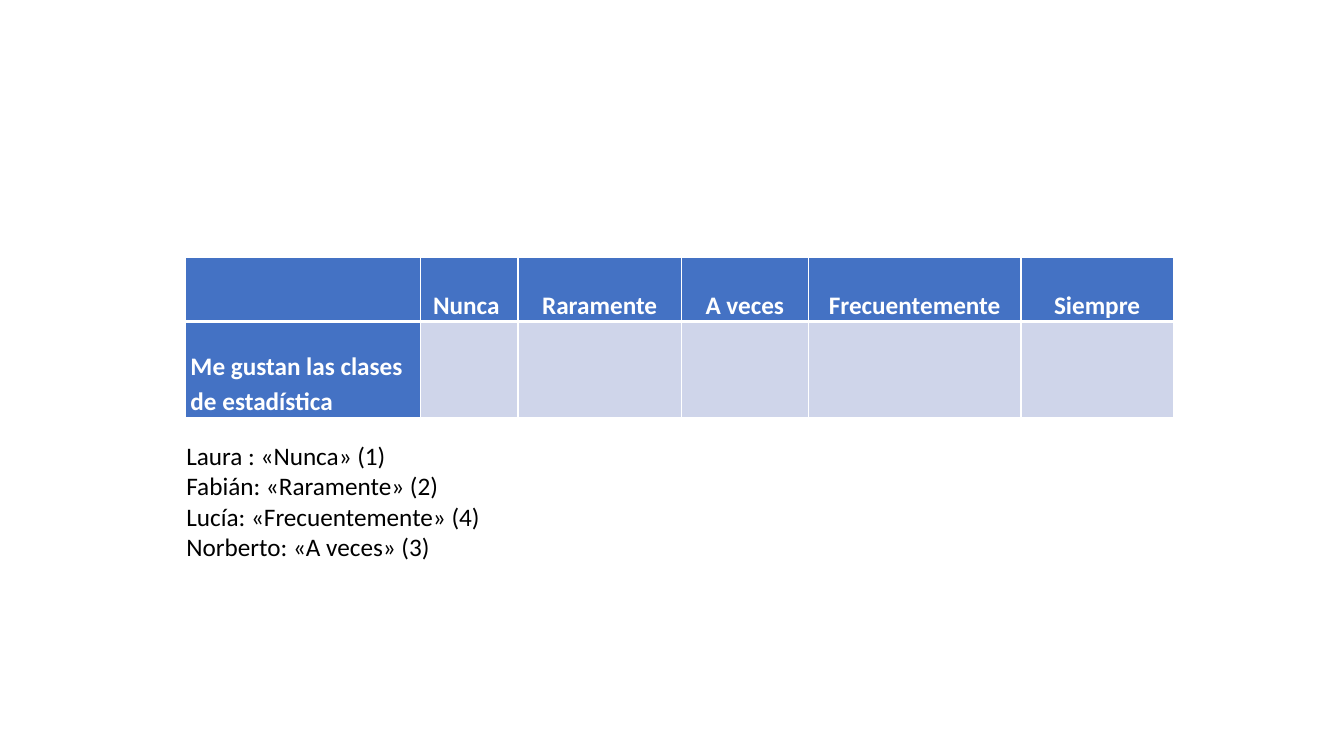
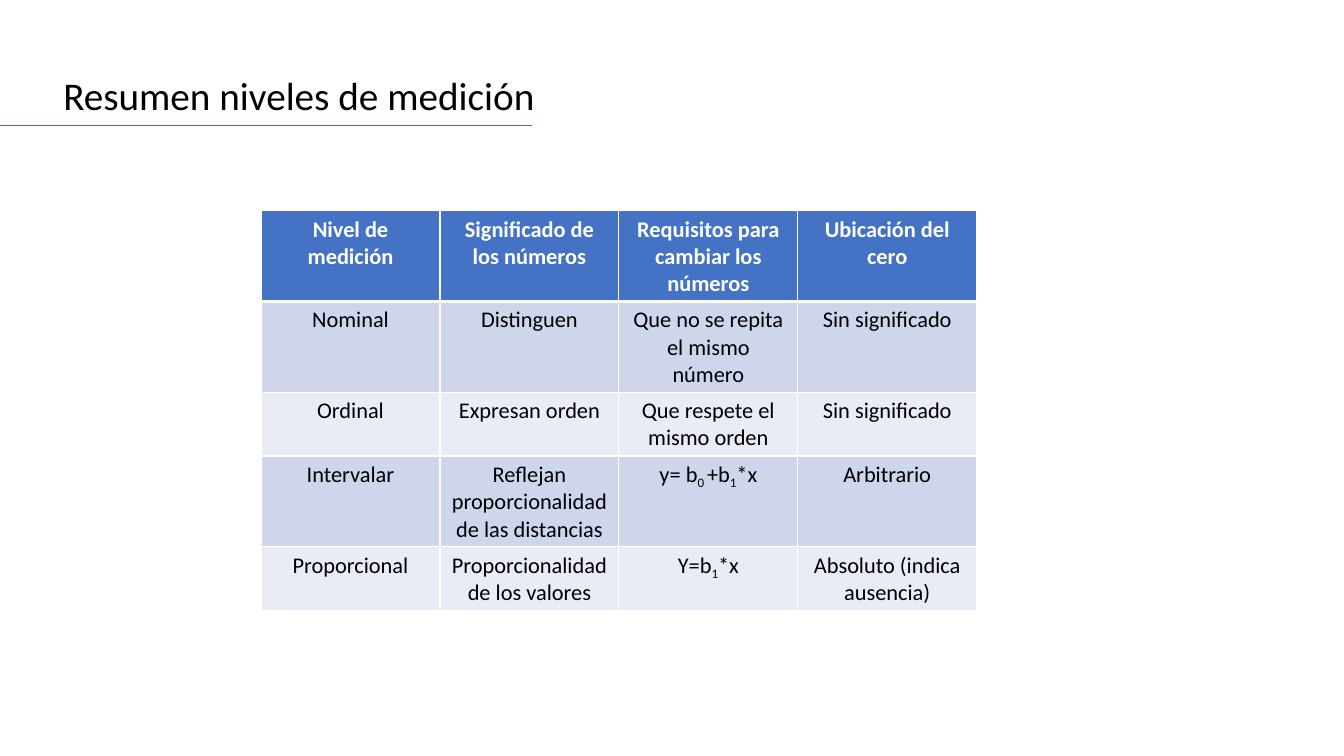
from dataclasses import dataclass

from pptx import Presentation
from pptx import util as u
from pptx.dml.color import RGBColor
from pptx.enum import shapes, text
from pptx.oxml import ns
from lxml import etree

GRID_COLUMNS, GRID_ROWS = 160, 90
SLIDE_WIDTH, SLIDE_HEIGHT = u.Inches(13.33), u.Inches(7.5)
FONT = "Calibri"
BLUE, WHITE, BLACK = "4472C4", "FFFFFF", "000000"
BANDS = ("CFD5EA", "E9EBF5")
CENTER, LEFT, JUSTIFY = text.PP_ALIGN.CENTER, text.PP_ALIGN.LEFT, text.PP_ALIGN.JUSTIFY


@dataclass(frozen=True)
class Area:
    column: float
    row: float
    columns: float
    rows: float


@dataclass(frozen=True)
class Style:
    size: float
    color: str = BLACK
    bold: bool = False
    align: text.PP_ALIGN = LEFT
    spacing: float = 1.0
    before: float = 0


@dataclass(frozen=True)
class Grid:
    column: float
    row: float
    widths: tuple
    heights: tuple
    cells: tuple
    size: float
    spacing: float = 1.0
    header_column: bool = False
    tight: bool = False


SCALE = Grid(
    22.08, 30.6, (27.96, 11.64, 19.44, 15.12, 25.32, 18.12), (7.68, 11.4),
    (
        ("", "Nunca ", "Raramente", "A veces", "Frecuentemente", "Siempre"),
        ("Me gustan las clases de estadística", "", "", "", "", ""),
    ),
    size=18, spacing=1.15, header_column=True, tight=True,
)
LEVELS = Grid(
    31.08, 25.08, (21.3,) * 4, (4.92,) * 5,
    (
        ("Nivel de medición", "Significado de los números",
         "Requisitos para cambiar los números", "Ubicación del cero"),
        ("Nominal", "Distinguen", "Que no se repita el mismo número", "Sin significado"),
        ("Ordinal", "Expresan orden", "Que respete el mismo orden", "Sin significado"),
        ("Intervalar", "Reflejan proporcionalidad de las distancias",
         "y= b_0 _+b_1_*x", "Arbitrario"),
        ("Proporcional", "Proporcionalidad de los valores", "Y=b_1_*x",
         "Absoluto (indica ausencia)"),
    ),
    size=16,
)
ANSWERS = (
    "Laura : «Nunca» (1)",
    "Fabián: «Raramente» (2)",
    "Lucía: «Frecuentemente» (4)",
    "Norberto: «A veces» (3)",
)


def across(columns: float) -> int:
    return round(SLIDE_WIDTH * columns / GRID_COLUMNS)


def down(rows: float) -> int:
    return round(SLIDE_HEIGHT * rows / GRID_ROWS)


def rgb(color: str) -> RGBColor:
    return RGBColor.from_string(color)


def paint(target, color: str) -> None:
    target.fill.solid()
    target.fill.fore_color.rgb = rgb(color)


def format_para(para, style: Style) -> None:
    para.alignment = style.align
    para.line_spacing = style.spacing
    para.space_before = u.Pt(style.before)
    for font in [para.font] + [span.font for span in para.runs]:
        font.name = FONT
        font.size = u.Pt(style.size)
        font.bold = style.bold
        font.color.rgb = rgb(style.color)


def write_formula(para, formula: str) -> None:
    """Parts between underscores become subscripts."""
    for index, part in enumerate(formula.split("_")):
        span = para.add_run()
        span.text = part
        if index % 2:
            span.font._element.set("baseline", "-25000")


def add_text(page, area: Area, content: str, style: Style) -> None:
    box = page.shapes.add_textbox(
        across(area.column), down(area.row), across(area.columns), down(area.rows))
    box.text_frame.word_wrap = True
    box.text_frame.text = content
    for para in box.text_frame.paragraphs:
        format_para(para, style)


def add_title(page, title: str) -> None:
    add_text(page, Area(6.36, 8.52, 114, 9.12), title,
             Style(28, align=JUSTIFY, spacing=0.9, before=12))
    rule = page.shapes.add_connector(
        shapes.MSO_CONNECTOR.STRAIGHT, 0, down(14.88), across(63.36), down(14.88))
    rule.line.color.rgb = rgb(BLUE)
    rule.line.width = u.Pt(0.5)
    etree.SubElement(rule._element.spPr, ns.qn("a:effectLst"))


def add_borders(cell, top: float, bottom: float) -> None:
    properties = cell._tc.get_or_add_tcPr()
    for side, width in (("L", 1), ("R", 1), ("T", top), ("B", bottom)):
        border = etree.SubElement(properties, ns.qn(f"a:ln{side}"), w=str(u.Pt(width)))
        fill = etree.SubElement(border, ns.qn("a:solidFill"))
        etree.SubElement(fill, ns.qn("a:srgbClr"), val=WHITE)


def fill_cell(cell, content: str, grid: Grid, row: int, column: int) -> None:
    label = grid.header_column and column == 0
    header = row == 0 or label
    para = cell.text_frame.paragraphs[0]
    if "_" in content:
        write_formula(para, content)
    else:
        para.text = content
    format_para(para, Style(
        grid.size, WHITE if header else BLACK, header,
        LEFT if label else CENTER, grid.spacing))
    if grid.tight:
        cell.vertical_anchor = text.MSO_ANCHOR.BOTTOM
        cell.margin_left = cell.margin_right = u.Inches(0.05)
        cell.margin_top = cell.margin_bottom = 0
    add_borders(cell, top=3 if row == 1 else 1, bottom=3 if row == 0 else 1)
    paint(cell, BLUE if header else BANDS[(row - 1) % 2])


def add_grid(page, grid: Grid) -> None:
    table = page.shapes.add_table(
        len(grid.heights), len(grid.widths), across(grid.column), down(grid.row),
        across(sum(grid.widths)), down(sum(grid.heights))).table
    table.first_col = grid.header_column
    for column, width in zip(table.columns, grid.widths):
        column.width = across(width)
    for line, height in zip(table.rows, grid.heights):
        line.height = down(height)
    for row, contents in enumerate(grid.cells):
        for column, content in enumerate(contents):
            fill_cell(table.cell(row, column), content, grid, row, column)


def add_page(deck):
    page = deck.slides.add_slide(deck.slide_layouts[6])
    paint(page.background, WHITE)
    return page


def main() -> None:
    deck = Presentation()
    deck.slide_width, deck.slide_height = SLIDE_WIDTH, SLIDE_HEIGHT

    scale_page = add_page(deck)
    add_grid(scale_page, SCALE)
    add_text(scale_page, Area(21, 51.84, 49.68, 23.04), "\n".join(ANSWERS), Style(18))

    levels_page = add_page(deck)
    add_title(levels_page, "Resumen niveles de medición")
    add_grid(levels_page, LEVELS)

    deck.save("out.pptx")


if __name__ == "__main__":
    main()
